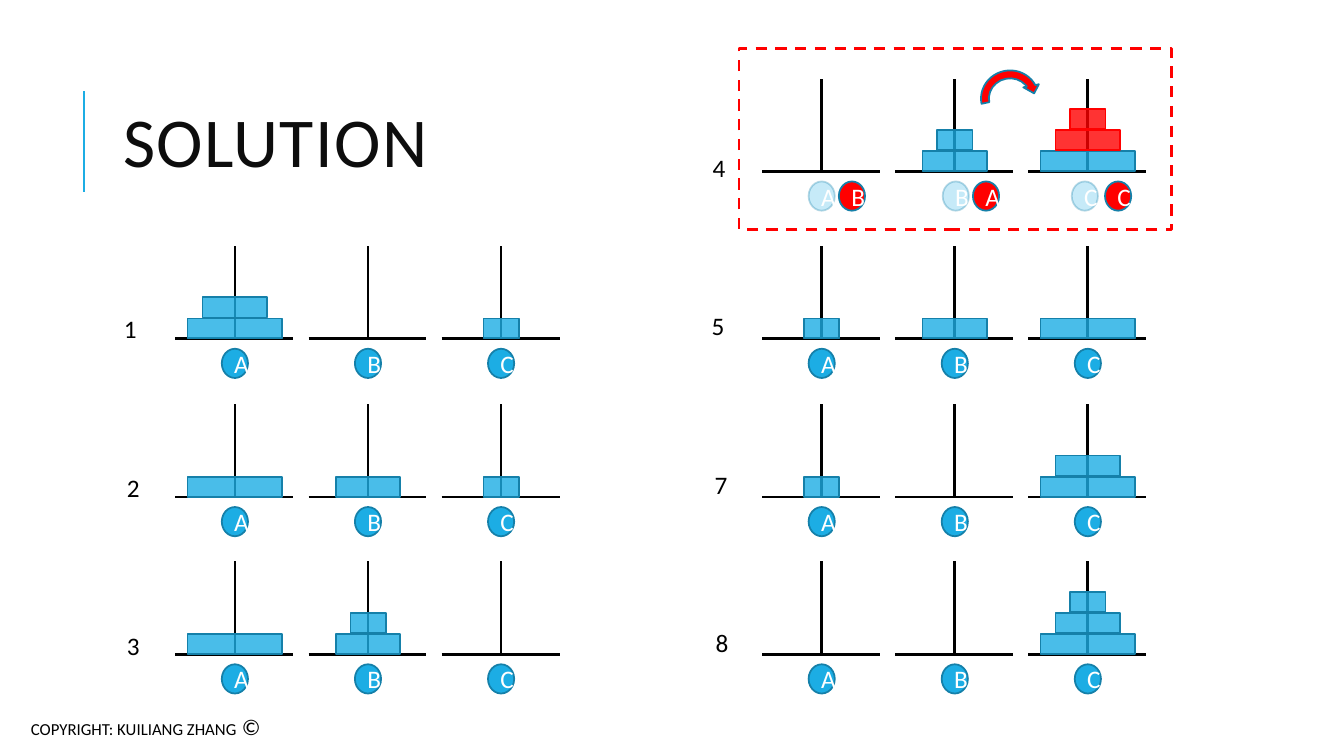
import lxml.etree
import pptx
import pptx.dml.color
import pptx.enum.dml
import pptx.enum.shapes
import pptx.enum.text
import pptx.oxml.ns
import pptx.util

Inches = pptx.util.Inches
Pt = pptx.util.Pt
qn = pptx.oxml.ns.qn
SHAPE = pptx.enum.shapes.MSO_SHAPE
ALIGN = pptx.enum.text.PP_ALIGN
ANCHOR = pptx.enum.text.MSO_ANCHOR

BLUE, DARK_BLUE, RED = "1CADE4", "1580A9", "FF0000"
BLACK, WHITE = "000000", "FFFFFF"


def paint(fill, color):
    fill.solid()
    fill.fore_color.rgb = pptx.dml.color.RGBColor.from_string(color)


def write(para, text, size=18, color=BLACK, align=ALIGN.LEFT):
    para.alignment = align
    span = para.add_run()
    span.text = text
    span.font.name = "Calibri"
    span.font.size = Pt(size)
    paint(span.font.fill, color)


deck = pptx.Presentation()
deck.slide_width = Inches(13.33)
deck.slide_height = Inches(7.5)
page = deck.slides.add_slide(deck.slide_layouts[5])

title = page.shapes.title
title.left, title.top = Inches(1.12), Inches(0.64)
title.width, title.height = Inches(10.63), Inches(1.64)
title.text_frame.word_wrap = True
title.text_frame.auto_size = pptx.enum.text.MSO_AUTO_SIZE.NONE
title.text_frame.vertical_anchor = ANCHOR.MIDDLE
heading = title.text_frame.paragraphs[0]
heading.line_spacing = 0.8
write(heading, "SOLUTION", size=50, color="0D0D0D")
for properties in title.element.iter(qn("a:rPr")):
    properties.set("spc", "100")

LEFT_PEGS, RIGHT_PEGS = 1.74, 7.56
PEG_PITCH, BASE_WIDTH, POLE_OFFSET, POLE_HEIGHT = 1.32, 1.17, 0.59, 0.92
DISK_WIDTHS = {"L": 0.94, "M": 0.64, "S": 0.35}
DISK_HEIGHT, DISK_PITCH = 0.2, 0.21
LABEL_WIDTH, LABEL_HEIGHT, LABEL_GAP = 0.26, 0.29, 0.1

steps = [
    ("1", 1.13, 3.06, LEFT_PEGS, 3.36, ("LM", "", "S")),
    ("2", 1.16, 4.64, LEFT_PEGS, 4.93, ("L", "M", "S")),
    ("3", 1.16, 6.2, LEFT_PEGS, 6.49, ("L", "MS", "")),
    ("5", 6.96, 3.03, RIGHT_PEGS, 3.36, ("S", "M", "L")),
    ("7", 6.99, 4.61, RIGHT_PEGS, 4.93, ("S", "", "LM")),
    ("8", 7, 6.17, RIGHT_PEGS, 6.49, ("", "", "LMS")),
    ("4", 6.97, 1.46, RIGHT_PEGS, 1.7, ("", "MS", "LMS")),
]

lines = [(0.83, 1.9, 0.83, 0.9, BLUE, 1.5)]
shapes = []
for number, number_left, number_top, pegs_left, base, stacks in steps:
    swapping = number == "4"
    for column, (name, stack) in enumerate(zip("ABC", stacks)):
        left = pegs_left + column * PEG_PITCH
        pole = left + POLE_OFFSET
        lines.append((left, base, left + BASE_WIDTH, base, BLACK, 2))
        lines.append((pole, base, pole, base - POLE_HEIGHT, BLACK, 2))
        for level, disk in enumerate(stack):
            width = DISK_WIDTHS[disk]
            top = base - DISK_HEIGHT - level * DISK_PITCH
            moved = swapping and name == "C" and disk != "L"
            fill, edge = (RED, RED) if moved else (BLUE, DARK_BLUE)
            shapes.append((SHAPE.RECTANGLE, pole - width / 2, top, width, DISK_HEIGHT,
                           fill, 80, edge, 100, ""))
        labels = [(name, pole - LABEL_WIDTH / 2, BLUE, 100, 100)]
        if swapping:
            labels = [(name, (8.02, 9.35, 10.63)[column], BLUE, 25, 30),
                      ("BAC"[column], (8.32, 9.65, 10.96)[column], RED, 100, 100)]
        for letter, label_left, fill, opacity, edge_opacity in labels:
            shapes.append((SHAPE.OVAL, label_left, base + LABEL_GAP, LABEL_WIDTH, LABEL_HEIGHT,
                           fill, opacity, DARK_BLUE, edge_opacity, letter))

shapes.append((SHAPE.RECTANGLE, 7.33, 0.48, 4.29, 1.8, "", 100, RED, 100, ""))
shapes.append((SHAPE.CIRCULAR_ARROW, 9.69, 0.66, 0.65, 0.63, RED, 100, DARK_BLUE, 100, ""))

for x1, y1, x2, y2, color, weight in lines:
    line = page.shapes.add_connector(pptx.enum.shapes.MSO_CONNECTOR.STRAIGHT,
                                     Inches(x1), Inches(y1), Inches(x2), Inches(y2))
    paint(line.line.fill, color)
    line.line.width = Pt(weight)
    lxml.etree.SubElement(line.element.spPr, qn("a:effectLst"))

drawn = []
for kind, left, top, width, height, fill, opacity, edge, edge_opacity, letter in shapes:
    shape = page.shapes.add_shape(kind, Inches(left), Inches(top), Inches(width), Inches(height))
    shape.shadow.inherit = False
    if fill:
        paint(shape.fill, fill)
    else:
        shape.fill.background()
    paint(shape.line.fill, edge)
    shape.line.width = Pt(1.25)
    for parent, percent in (("a:solidFill", opacity), ("a:ln/a:solidFill", edge_opacity)):
        if percent < 100:
            tint = shape.element.spPr.xpath(f"{parent}/a:srgbClr")[0]
            lxml.etree.SubElement(tint, qn("a:alpha")).set("val", str(percent * 1000))
    if letter:
        shape.text_frame.vertical_anchor = ANCHOR.MIDDLE
        write(shape.text_frame.paragraphs[0], letter, color=WHITE, align=ALIGN.CENTER)
    drawn.append(shape)

frame, arrow = drawn[-2:]
frame.line.width = Pt(2)
frame.line.dash_style = pptx.enum.dml.MSO_LINE.DASH
arrow.rotation = 348.9

for number, number_left, number_top, *pegs in steps:
    box = page.shapes.add_textbox(Inches(number_left), Inches(number_top), Inches(0.34), Inches(0.4))
    box.text_frame.word_wrap = True
    write(box.text_frame.paragraphs[0], number)

footer = page.shapes.add_textbox(Inches(0.12), Inches(7.06), Inches(2.7), Inches(0.39))
footer.text_frame.word_wrap = True
para = footer.text_frame.paragraphs[0]
para.line_spacing = 0.9
para.space_before = Pt(10)
write(para, "COPYRIGHT: KUILIANG ZHANG", size=12, align=ALIGN.CENTER)
write(para, " © ", size=16, align=ALIGN.CENTER)

deck.save("out.pptx")
